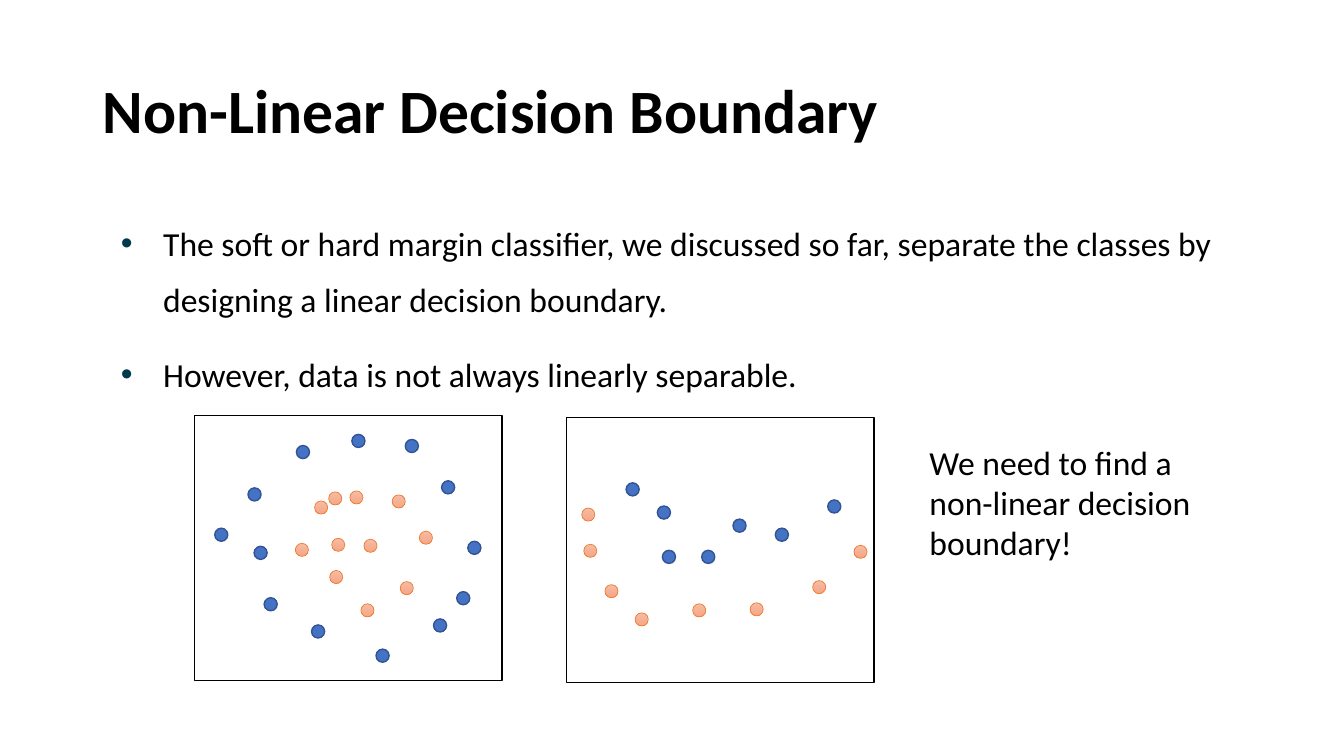
import copy

import lxml.etree
import pptx
import pptx.dml.color
import pptx.enum.shapes
import pptx.enum.text
import pptx.oxml.ns
import pptx.util

COLORS = {
    "white": "FFFFFF",
    "black": "000000",
    "bullet": "003B4C",
    "blue": "4472C4",
    "blue line": "325491",
    "orange top": "F7BDA5",
    "orange middle": "F5B196",
    "orange bottom": "F8A582",
    "orange line": "ED7D31",
}
FONT = "Calibri"
CELL = pptx.util.Inches(0.01)  # every length is a count of grid cells
PANEL_WIDTH, PANEL_HEIGHT, DOT = 305, 263, 13
qn = pptx.oxml.ns.qn
RGB = pptx.dml.color.RGBColor.from_string


def add_text(left, top, width, height, lines, size, bold=False):
    box = slide.shapes.add_textbox(left * CELL, top * CELL, width * CELL, height * CELL)
    box.text_frame.word_wrap = True
    box.text_frame.text = "\n".join(lines)
    for para in box.text_frame.paragraphs:
        for span in para.runs:
            span.font.name = FONT
            span.font.size = pptx.util.Pt(size)
            span.font.bold = bold
            span.font.color.rgb = RGB(COLORS["black"])
    return box.text_frame


def add_outlined(kind, left, top, width, height, fill, line, weight):
    shape = slide.shapes.add_shape(kind, left * CELL, top * CELL, width * CELL, height * CELL)
    shape.shadow.inherit = False
    shape.fill.solid()
    shape.fill.fore_color.rgb = RGB(COLORS[fill])
    shape.line.color.rgb = RGB(COLORS[line])
    shape.line.width = pptx.util.Pt(weight)
    return shape


deck = pptx.Presentation()
deck.slide_width = pptx.util.Inches(13.33)
deck.slide_height = pptx.util.Inches(7.5)
slide = deck.slides.add_slide(deck.slide_layouts[6])

# Title
title = add_text(92, 40, 1150, 145, ["Non-Linear Decision Boundary"], 44, bold=True)
title.vertical_anchor = pptx.enum.text.MSO_ANCHOR.MIDDLE
title.paragraphs[0].line_spacing = 0.9

# Bulleted points
points = add_text(92, 200, 1150, 476, [
    "The soft or hard margin classifier, we discussed so far, separate the classes by "
    "designing a linear decision boundary.",
    "However, data is not always linearly separable.",
], 24)
for number, para in enumerate(points.paragraphs):
    para.line_spacing = 1.4
    para.space_before = pptx.util.Pt(13.3 if number else 0)
    properties = para._p.get_or_add_pPr()
    properties.set("marL", str(60 * CELL))
    properties.set("indent", str(-42 * CELL))
    bullet_color = lxml.etree.SubElement(properties, qn("a:buClr"))
    lxml.etree.SubElement(bullet_color, qn("a:srgbClr"), val=COLORS["bullet"])
    lxml.etree.SubElement(properties, qn("a:buFont"), typeface="Arial")
    lxml.etree.SubElement(properties, qn("a:buChar"), char="•")

# Scatter panels: corner of the panel, then dots as (column, row) from that corner
panels = [
    {
        "corner": (193, 412),
        "orange": [(133, 76), (154, 75), (196, 79), (223, 115), (119, 85), (100, 127),
                   (134, 154), (168, 123), (204, 165), (165, 187), (136, 122)],
        "blue": [(53, 72), (101, 30), (59, 130), (69, 181), (116, 208), (237, 202),
                 (156, 19), (271, 125), (245, 65), (209, 24), (20, 112), (260, 175),
                 (180, 232)],
    },
    {
        "corner": (562, 414),
        "blue": [(59, 65), (90, 88), (95, 132), (134, 132), (165, 101), (207, 110),
                 (259, 82)],
        "orange": [(17, 126), (38, 166), (285, 127), (68, 194), (182, 184), (125, 185),
                   (244, 162), (15, 90)],
    },
]
shapes = pptx.enum.shapes.MSO_SHAPE
for panel in panels:
    left, top = panel["corner"]
    add_outlined(shapes.RECTANGLE, left, top, PANEL_WIDTH, PANEL_HEIGHT, "white", "black", 1)
    for column, row in panel["blue"]:
        add_outlined(shapes.FLOWCHART_CONNECTOR, left + column, top + row, DOT, DOT,
                     "blue", "blue line", 1)
    for column, row in panel["orange"]:
        dot = add_outlined(shapes.FLOWCHART_CONNECTOR, left + column, top + row, DOT, DOT,
                           "orange middle", "orange line", 0.5)
        # Three-stop gradient running from top to bottom
        dot.fill.gradient()
        dot.fill.gradient_angle = 270
        first_stop = next(dot._element.spPr.iter(qn("a:gs")))
        first_stop.addnext(copy.deepcopy(first_stop))
        for stop, place in zip(dot.fill.gradient_stops, ("top", "middle", "bottom")):
            stop.color.rgb = RGB(COLORS["orange " + place])
        dot.fill.gradient_stops[1].position = 0.5

# Conclusion
add_text(912, 433, 293, 131, ["We need to find a non-linear decision boundary!"], 24)

deck.save("out.pptx")
